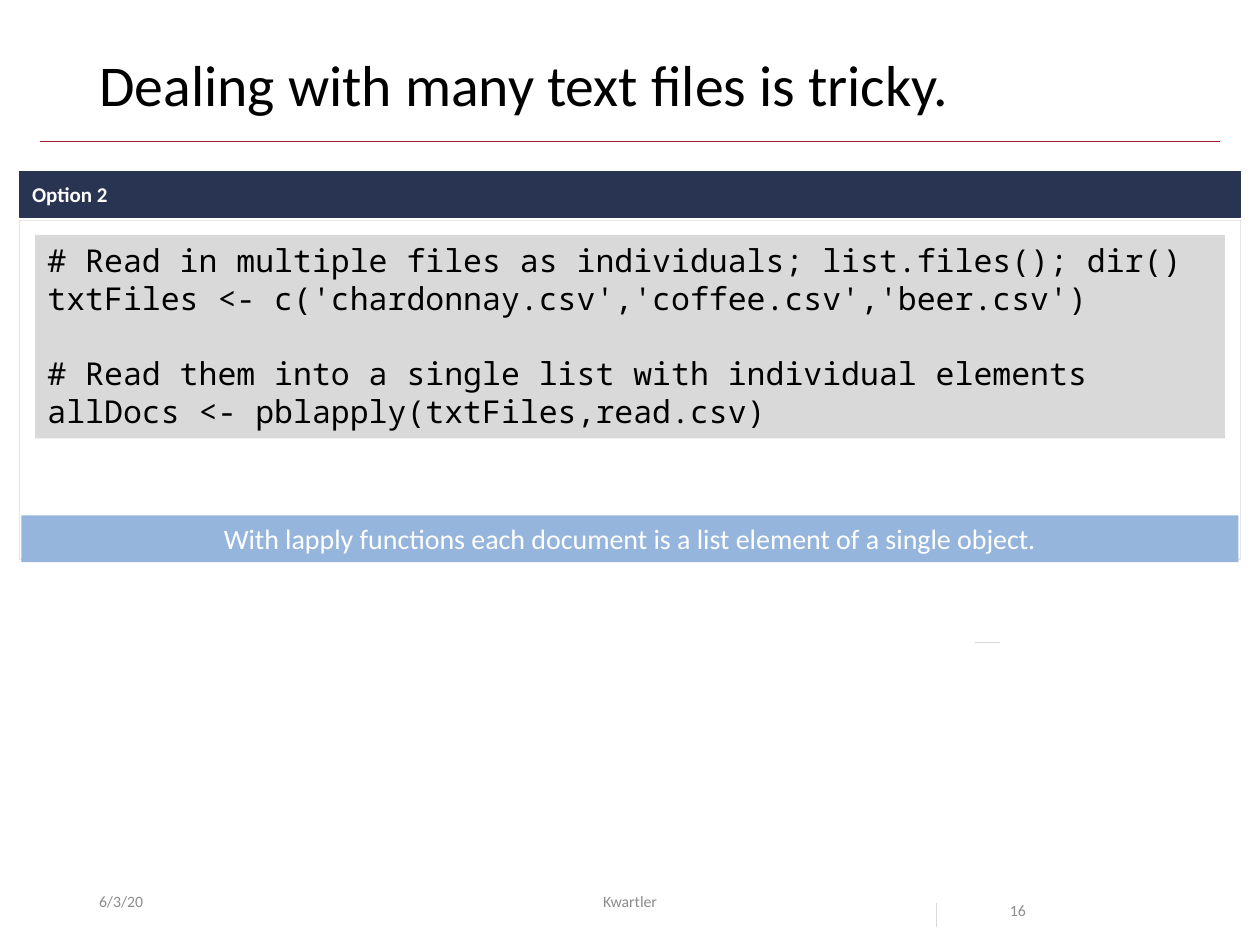
from dataclasses import dataclass
from typing import Optional

import pptx
import pptx.dml.color
import pptx.enum.shapes
import pptx.enum.text
import pptx.oxml
import pptx.oxml.ns
import pptx.util

Pt = pptx.util.Pt
ALIGN = pptx.enum.text.PP_ALIGN
ANCHOR = pptx.enum.text.MSO_ANCHOR


@dataclass(frozen=True)
class Theme:
    text_font: str = "Calibri"
    code_font: str = "Noto Sans Mono"
    title_size: float = 33
    code_size: float = 18
    code_line_height: float = 21.5
    remark_size: float = 16
    header_size: float = 12
    footer_size: float = 9
    black: str = "000000"
    white: str = "FFFFFF"
    navy: str = "293352"
    light_blue: str = "95B5DC"
    code_gray: str = "D9D9D9"
    panel_border: str = "E7E6E6"
    footer_gray: str = "8C8C8C"
    crimson: str = "A51C30"


THEME = Theme()


@dataclass(frozen=True)
class Box:
    left: float
    top: float
    width: float
    height: float

    def lengths(self) -> tuple:
        return Pt(self.left), Pt(self.top), Pt(self.width), Pt(self.height)


@dataclass(frozen=True)
class FooterItem:
    text: str
    box: Box
    align: ALIGN = ALIGN.LEFT
    anchor: ANCHOR = ANCHOR.MIDDLE
    line_spacing: Optional[float] = None


@dataclass(frozen=True)
class Rule:
    start: tuple[float, float]
    end: tuple[float, float]
    color: str


FOOTER = [
    FooterItem("6/3/20", Box(49.5, 500.5, 162, 28.75)),
    FooterItem("Kwartler", Box(238.5, 500.5, 243, 28.75), ALIGN.CENTER),
    FooterItem("16", Box(570, 500.5, 68, 28.75), anchor=ANCHOR.TOP, line_spacing=2),
]
RULES = [
    Rule((23, 80.75), (697, 80.75), THEME.crimson),
    Rule((535, 515.75), (535, 530), THEME.code_gray),
    Rule((557.25, 367), (571.5, 367), THEME.code_gray),
]
# Each block of code is separated from the next by one empty line.
CODE_BLOCKS = [
    ["# Read in multiple files as individuals; list.files(); dir()",
     "txtFiles <- c('chardonnay.csv','coffee.csv','beer.csv')"],
    ["# Read them into a single list with individual elements",
     "allDocs <- pblapply(txtFiles,read.csv)"],
]


def rgb(color: str) -> pptx.dml.color.RGBColor:
    return pptx.dml.color.RGBColor.from_string(color)


def write_text(shape, blocks: list[list[str]], *, size: float, color: str,
               font: str = THEME.text_font, bold: bool = False,
               align: ALIGN = ALIGN.LEFT, anchor: ANCHOR = ANCHOR.TOP,
               line_spacing: Optional[float] = None, block_gap: float = 0) -> None:
    """Write one paragraph per line, with block_gap points before each later block."""
    frame = shape.text_frame
    frame.word_wrap = True
    frame.auto_size = pptx.enum.text.MSO_AUTO_SIZE.NONE
    frame.vertical_anchor = anchor
    frame.text = "\n".join(line for block in blocks for line in block)
    paragraphs = iter(frame.paragraphs)
    for block_index, block in enumerate(blocks):
        for line_index in range(len(block)):
            paragraph = next(paragraphs)
            paragraph.alignment = align
            starts_later_block = block_index > 0 and line_index == 0
            paragraph.space_before = Pt(block_gap if starts_later_block else 0)
            if line_spacing:
                paragraph.line_spacing = line_spacing
            for run in paragraph.runs:
                run.font.name = font
                run.font.size = Pt(size)
                run.font.bold = bold
                run.font.color.rgb = rgb(color)


def add_rectangle(slide, box: Box, fill: str, border: Optional[str] = None):
    shape = slide.shapes.add_shape(
        pptx.enum.shapes.MSO_SHAPE.RECTANGLE, *box.lengths())
    shape.shadow.inherit = False
    shape.fill.solid()
    shape.fill.fore_color.rgb = rgb(fill)
    if border:
        shape.line.color.rgb = rgb(border)
        shape.line.width = Pt(0.75)
    else:
        shape.line.fill.background()
    return shape


def add_rule(slide, rule: Rule) -> None:
    connector = slide.shapes.add_connector(
        pptx.enum.shapes.MSO_CONNECTOR.STRAIGHT,
        *(Pt(value) for value in rule.start + rule.end))
    connector.line.color.rgb = rgb(rule.color)
    connector.line.width = Pt(0.5)
    properties = connector._element.spPr
    properties.append(pptx.oxml.parse_xml(
        f"<a:effectLst {pptx.oxml.ns.nsdecls('a')}/>"))


def add_footer_item(slide, item: FooterItem) -> None:
    shape = slide.shapes.add_textbox(*item.box.lengths())
    write_text(shape, [[item.text]], size=THEME.footer_size, color=THEME.footer_gray,
               align=item.align, anchor=item.anchor, line_spacing=item.line_spacing)


def format_title(title, text: str) -> None:
    title.left, title.top, title.width, title.height = Box(49.5, 28.8, 621, 46.8).lengths()
    write_text(title, [[text]], size=THEME.title_size, color=THEME.black,
               line_spacing=0.9)


def add_option_panel(slide) -> None:
    add_rectangle(slide, Box(11.25, 126, 697.5, 193.5), THEME.white, THEME.panel_border)

    header = add_rectangle(slide, Box(11.25, 98, 697.5, 26), THEME.navy, THEME.navy)
    write_text(header, [["Option 2"]], size=THEME.header_size, color=THEME.white,
               bold=True, anchor=ANCHOR.MIDDLE)

    code = add_rectangle(slide, Box(20, 134.25, 680, 116.25), THEME.code_gray)
    write_text(code, CODE_BLOCKS, size=THEME.code_size, color=THEME.black,
               font=THEME.code_font, block_gap=THEME.code_line_height)

    remark = add_rectangle(slide, Box(12.25, 294.5, 695.5, 26.75), THEME.light_blue)
    write_text(
        remark,
        [["With lapply functions each document is a list element of a single object."]],
        size=THEME.remark_size, color=THEME.white, align=ALIGN.CENTER)


def main() -> None:
    presentation = pptx.Presentation()
    presentation.slide_width, presentation.slide_height = Pt(720), Pt(540)
    slide = presentation.slides.add_slide(presentation.slide_layouts[5])
    format_title(slide.shapes.title, "Dealing with many text files is tricky.")
    for item in FOOTER:
        add_footer_item(slide, item)
    add_option_panel(slide)
    for rule in RULES:
        add_rule(slide, rule)
    presentation.save("out.pptx")


if __name__ == "__main__":
    main()
